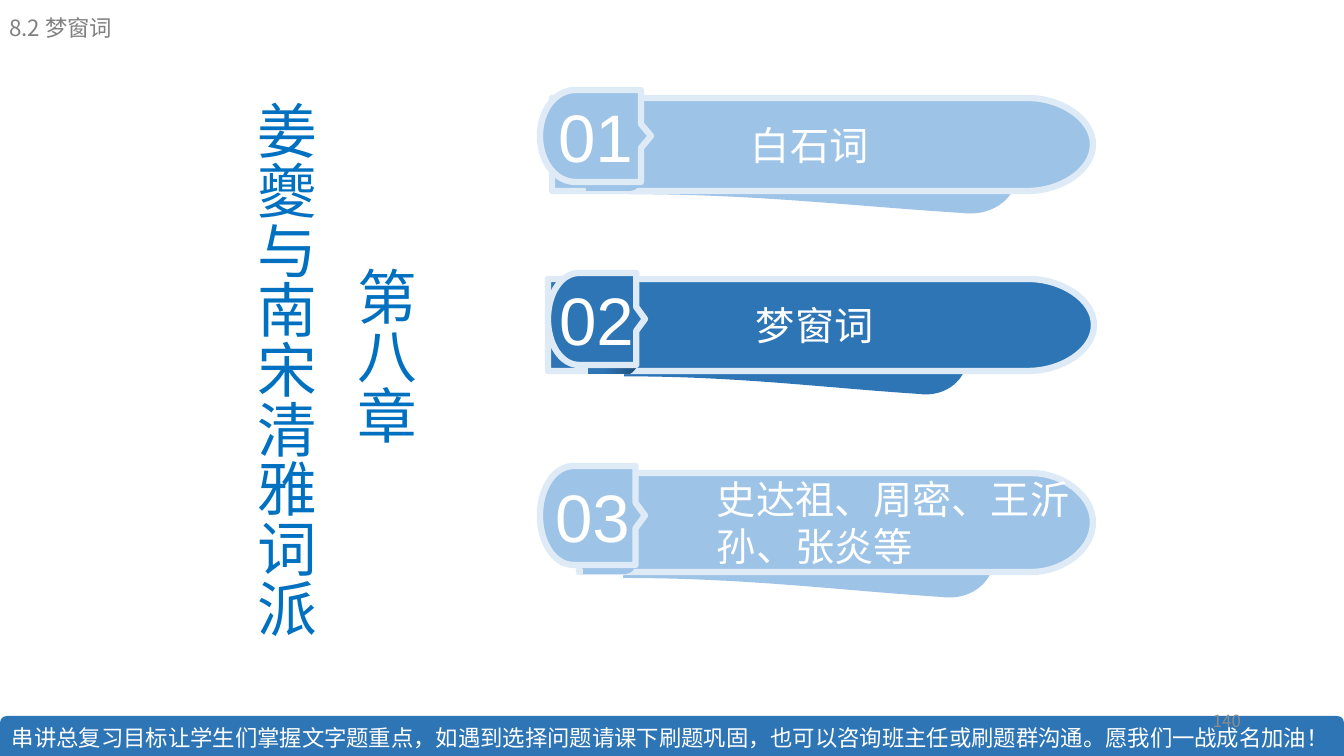
from lxml import etree
from pptx import Presentation
from pptx.dml.color import RGBColor
from pptx.enum.shapes import MSO_SHAPE
from pptx.enum.text import MSO_ANCHOR, MSO_AUTO_SIZE, PP_ALIGN
from pptx.oxml.ns import qn
from pptx.util import Emu, Pt

EMU_PER_PX = 914400 / 100.8
PAGE_WIDTH, PAGE_HEIGHT = 1344, 756
LEFT, CENTER, RIGHT = PP_ALIGN.LEFT, PP_ALIGN.CENTER, PP_ALIGN.RIGHT
TOP, MIDDLE, BOTTOM = MSO_ANCHOR.TOP, MSO_ANCHOR.MIDDLE, MSO_ANCHOR.BOTTOM
CJK_FONT, NUMBER_FONT = "Noto Sans CJK SC", "Arial"

COLORS = {
    "white": "FFFFFF",
    "active": "2E75B6",
    "shade": "1F4E79",
    "muted": "9DC3E6",
    "edge": "DEEBF7",
    "chapter": "0070C0",
    "title": "808080",
    "page_number": "8C8C8C",
}

# Outlines in fractions of their box: pairs are corners, sextets are Bézier curves
TAIL = [(0.02, 0), (0.89, 0.31), (0.96, 0.35, 1.01, 0.52, 1, 0.71),
        (0.99, 0.9, 0.93, 1.03, 0.86, 1), (0.57, 0.94, 0.33, 0.84, 0, 0.84),
        (0.01, 0.59, 0.01, 0.23, 0.02, 0)]
BAR = [(0, 0), (0.88, 0), (0.94, 0, 1, 0.22, 1, 0.5),
       (1, 0.78, 0.94, 1, 0.88, 1), (0, 1)]
FOLD = [(0, 0), (0.79, 0), (0.91, 0, 1, 0.14, 1, 0.31), (1, 0.67),
        (1, 0.86, 0.91, 1, 0.79, 1), (0, 1)]
BADGE = [(0.32, 0), (0.91, 0), (0.91, 0.37), (1, 0.5), (0.91, 0.63),
         (0.91, 1), (0.32, 1), (0.14, 1, 0, 0.78, 0, 0.5),
         (0, 0.22, 0.14, 0, 0.32, 0)]

# Each section: number, lines, text inset, is active, then the boxes of its parts
SECTIONS = [
    ("02", ["梦窗词"], 208, True, (624, 284, 343, 110), (548, 279, 546, 92),
     (588, 326, 50, 48), (548, 273, 97, 92)),
    ("01", ["白石词"], 199, False, (628, 95, 389, 118), (552, 98, 541, 93),
     (586, 143, 56, 48), (540, 90, 111, 92)),
    ("03", ["史达祖、周密、王沂", "孙、张炎等"], 138, False, (623, 478, 371, 119),
     (579, 473, 514, 99), (583, 523, 54, 51), (540, 466, 105, 99)),
]


def px(length):
    return Emu(round(length * EMU_PER_PX))


def color(name):
    return RGBColor.from_string(COLORS[name])


def write(shape, lines, size, ink, font=CJK_FONT, align=LEFT, anchor=TOP,
          left_inset=10, wrap=True, spacing=None):
    frame = shape.text_frame
    frame.auto_size = MSO_AUTO_SIZE.NONE
    frame.word_wrap = wrap
    frame.vertical_anchor = anchor
    frame.margin_left, frame.margin_right = px(left_inset), px(10)
    frame.margin_top = frame.margin_bottom = px(5)
    for index, line in enumerate(lines):
        para = frame.add_paragraph() if index else frame.paragraphs[0]
        para.alignment = align
        if spacing:
            para.line_spacing = spacing
        span = para.add_run()
        span.text = line
        span.font.size = Pt(size)
        span.font.name = font
        span.font.color.rgb = color(ink)
        east_asian = etree.SubElement(span._r.get_or_add_rPr(), qn("a:ea"))
        east_asian.set("typeface", font)


def bend(line_to, curve, width, height):
    """Turn a straight segment into a Bézier curve."""
    line_to.tag = qn("a:cubicBezTo")
    for point in list(line_to):
        line_to.remove(point)
    for x, y in zip(curve[::2], curve[1::2]):
        etree.SubElement(line_to, qn("a:pt"),
                         x=str(px(x * width)), y=str(px(y * height)))


def add_outline(shapes, outline, box, fill, edged=False):
    left, top, width, height = box
    corners = [(px(left + segment[-2] * width), px(top + segment[-1] * height))
               for segment in outline]
    builder = shapes.build_freeform(*corners[0])
    builder.add_line_segments(corners[1:])
    shape = builder.convert_to_shape()
    lines_to = list(shape._element.spPr.iter(qn("a:lnTo")))
    for line_to, segment in zip(lines_to, outline[1:]):
        if len(segment) == 6:
            bend(line_to, segment, width, height)
    shape.shadow.inherit = False
    shape.fill.solid()
    shape.fill.fore_color.rgb = color(fill)
    if edged:
        shape.line.color.rgb = color("edge")
        shape.line.width = Pt(4.5)
    else:
        shape.line.fill.background()
    return shape


def add_section(page, number, lines, inset, active, tail_box, bar_box, fold_box, badge_box):
    shapes = page.shapes.add_group_shape().shapes
    fill = "active" if active else "muted"
    add_outline(shapes, TAIL, tail_box, fill)
    bar = add_outline(shapes, BAR, bar_box, fill, edged=True)
    write(bar, lines, 28, "white", anchor=MIDDLE, left_inset=inset)
    fold = add_outline(shapes, FOLD, fold_box, fill)
    if active:
        fold.fill.gradient()
        fold.fill.gradient_angle = 180
        for stop, place, name in zip(fold.fill.gradient_stops, (0, 0.71), ("shade", "active")):
            stop.position = place
            stop.color.rgb = color(name)
    badge = add_outline(shapes, BADGE, badge_box, fill, edged=True)
    write(badge, [number], 48, "white", font=NUMBER_FONT, align=CENTER,
          anchor=MIDDLE, wrap=False)


def add_text(page, box, lines, size, ink, **text_format):
    shape = page.shapes.add_textbox(*map(px, box))
    write(shape, lines, size, ink, **text_format)
    return shape


def add_title(page, box):
    title = page.shapes.title
    title.left, title.top, title.width, title.height = map(px, box)
    write(title, ["8.2 梦窗词"], 16, "title", left_inset=9)


def add_footer(page, box):
    left, top, width, height = box
    band = page.shapes.add_shape(MSO_SHAPE.ROUND_2_SAME_RECTANGLE, *map(px, box))
    band.shadow.inherit = False
    band.fill.solid()
    band.fill.fore_color.rgb = color("active")
    band.line.fill.background()
    write(band, ["串讲总复习目标让学生们掌握文字题重点，如遇到选择问题请课下刷题巩固，"
                 "也可以咨询班主任或刷题群沟通。愿我们一战成名加油！"],
          16, "white", anchor=BOTTOM)
    add_text(page, (left + width - 395, top - 15, 302, 40), ["140"], 12,
             "page_number", align=RIGHT, anchor=MIDDLE)


def add_chapter(page, box):
    chapter = add_text(page, box, ["第八章 ", " 姜夔与南宋清雅词派"], 42.6, "chapter",
                       align=CENTER, spacing=1.45)
    chapter.text_frame._txBody.bodyPr.set("vert", "eaVert")


def main():
    deck = Presentation()
    deck.slide_width, deck.slide_height = px(PAGE_WIDTH), px(PAGE_HEIGHT)
    page = deck.slides.add_slide(deck.slide_layouts[5])
    add_title(page, (0, 9, 475, 37))
    add_footer(page, (0, PAGE_HEIGHT - 40, PAGE_WIDTH, 40))
    add_chapter(page, (225, 83, 238, 593))
    for section in SECTIONS:
        add_section(page, *section)
    deck.save("out.pptx")


if __name__ == "__main__":
    main()
